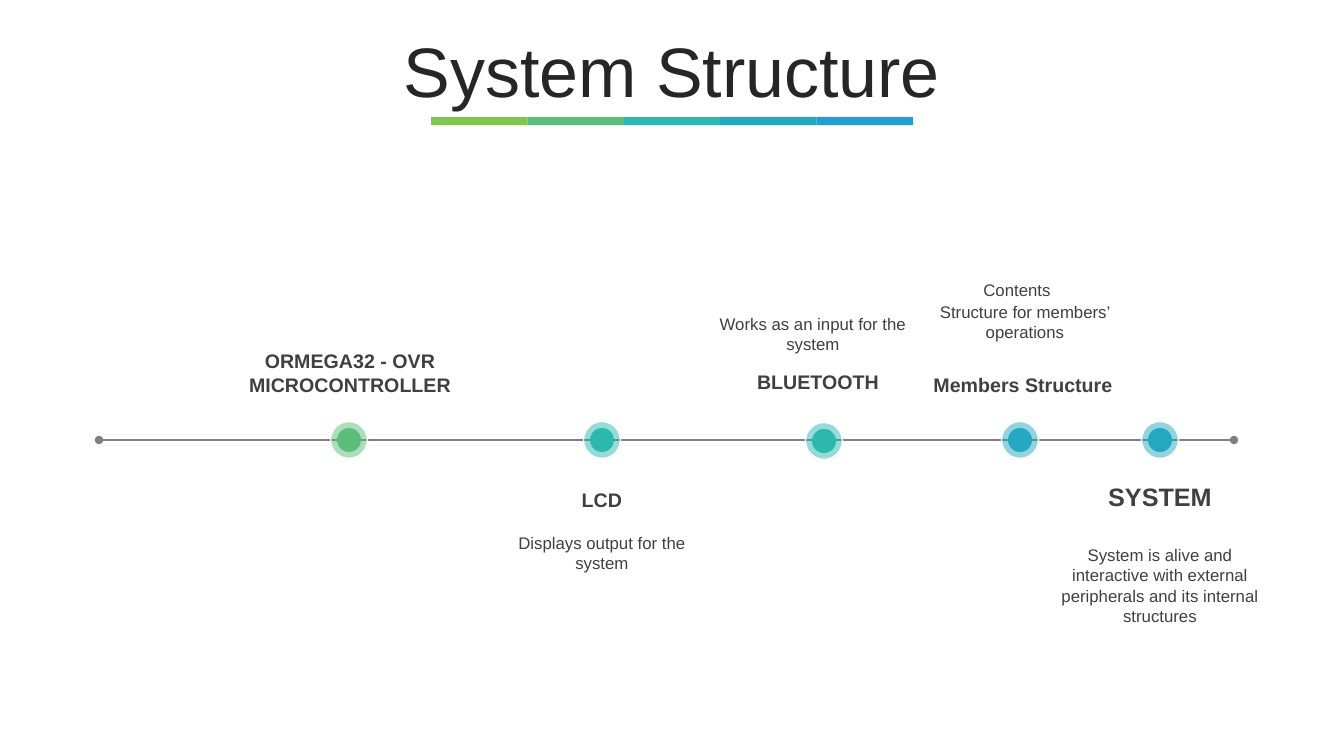
from pptx import Presentation
from pptx.dml.color import RGBColor as Rgb
from pptx.enum.shapes import MSO_CONNECTOR as Connector, MSO_SHAPE as Shape
from pptx.enum.text import MSO_ANCHOR as Anchor, MSO_AUTO_SIZE as AutoSize, PP_ALIGN as Align
from pptx.oxml.ns import qn
from pptx.util import Pt
from lxml.etree import SubElement

EMU_PER_PX = 914400 / 100.8
COLORS = {
    "lime": "82C650", "green": "5CBE7A", "teal": "2CB8AE", "cyan": "24A8C2",
    "blue": "249ED2", "title": "262626", "text": "404040", "axis": "808080",
    "white": "FFFFFF",
}
TITLE = {"size": 50, "bold": False, "color": "title"}
HEADING = {"size": 14, "bold": True, "color": "text"}
LARGE_HEADING = {**HEADING, "size": 18}
BODY = {"size": 12, "bold": False, "color": "text"}

NODES = [
    (349, 0, "green", [("ORMEGA32 - OVR MICROCONTROLLER", HEADING, (1, -96, 226, 82))]),
    (602, 0, "teal", [
        ("LCD", HEADING, (0, 43, 82, 34)),
        ("Displays output for the system", BODY, (0, 88, 222, 50)),
    ]),
    (824, 1, "teal", [
        ("BLUETOOTH", HEADING, (-6, -76, 146, 34)),
        ("Works as an input for the system", BODY, (-11, -132, 222, 50)),
    ]),
    (1020, 0, "cyan", [
        ("Members Structure", HEADING, (3, -72, 216, 34)),
        ("Structure for members’ operations", BODY, (5, -143, 222, 50)),
        ("Contents", BODY, (-3, -165, 222, 30)),
    ]),
    (1160, 0, "cyan", [
        ("SYSTEM", LARGE_HEADING, (0, 36, 126, 40)),
        ("System is alive and interactive with external peripherals and its internal structures",
         BODY, (0, 100, 222, 92)),
    ]),
]


def px(length):
    """Turn pixels into EMU."""
    return round(length * EMU_PER_PX)


def color(name):
    """Look up a named colour."""
    return Rgb.from_string(COLORS[name])


def add_solid(page, kind, box, fill, alpha=None, outline=None):
    """Add a filled preset shape, optionally translucent and outlined."""
    shape = page.shapes.add_shape(kind, *map(px, box))
    shape.shadow.inherit = False
    shape.fill.solid()
    shape.fill.fore_color.rgb = color(fill)
    if alpha:
        tint = shape.fill._xPr.find(qn("a:solidFill"))[0]
        SubElement(tint, qn("a:alpha"), val=str(alpha * 1000))
    if outline:
        shape.line.color.rgb = color(outline)
        shape.line.width = Pt(1)
    else:
        shape.line.fill.background()


def add_label(page, box, text, style, anchor=Anchor.TOP, spacing=None, fit=AutoSize.SHAPE_TO_FIT_TEXT):
    """Add one centred paragraph of wrapped text."""
    frame = page.shapes.add_textbox(*map(px, box)).text_frame
    for name, value in {"word_wrap": True, "auto_size": fit, "vertical_anchor": anchor}.items():
        setattr(frame, name, value)
    para = frame.paragraphs[0]
    para.alignment = Align.CENTER
    para.line_spacing = spacing
    span = para.add_run()
    span.text = text
    for name, value in {"name": "Arial", "size": Pt(style["size"]), "bold": style["bold"]}.items():
        setattr(span.font, name, value)
    span.font.color.rgb = color(style["color"])


def add_header(page, box):
    """Place the title with its five-colour underline."""
    left, top, width, height = box
    bands = ["lime", "green", "teal", "cyan", "blue"]
    total = 482
    start = left + (width - total) / 2
    band = total / len(bands)
    for index, fill in enumerate(bands):
        add_solid(page, Shape.RECTANGLE, (start + index * band, top + height, band, 8), fill)
    add_label(page, box, "System Structure", TITLE, Anchor.MIDDLE, 0.8, AutoSize.NONE)


def add_axis(page, left, right, y):
    """Draw the timeline with round ends."""
    axis = page.shapes.add_connector(Connector.STRAIGHT, px(left), px(y), px(right), px(y))
    axis.line.color.rgb = color("axis")
    axis.line.width = Pt(1.25)
    line = axis.line._get_or_add_ln()
    for end in ("a:headEnd", "a:tailEnd"):
        SubElement(line, qn(end), type="oval")
    SubElement(axis._element.spPr, qn("a:effectLst"))


def add_node(page, x, y, fill, labels):
    """Draw one timeline node and the labels around it."""
    for size, alpha, outline in ((37, 50, "white"), (24, None, None)):
        box = (x - size / 2, y - size / 2, size, size)
        add_solid(page, Shape.OVAL, box, fill, alpha, outline)
    for text, style, (shift, drop, width, height) in labels:
        add_label(page, (x + shift - width / 2, y + drop, width, height), text, style)


def add_timeline(page, box):
    """Place the axis and its nodes in the given box."""
    left, top, width, height = box
    middle = top + height / 2
    add_axis(page, left, left + width, middle)
    for x, drop, fill, labels in NODES:
        add_node(page, x, middle + drop, fill, labels)


def main():
    """Build and save the slide."""
    deck = Presentation()
    deck.slide_width, deck.slide_height = px(1344), px(756)
    page = deck.slides.add_slide(deck.slide_layouts[6])
    add_header(page, (34, 37, 1276, 80))
    add_timeline(page, (99, 240, 1135, 400))
    deck.save("out.pptx")


if __name__ == "__main__":
    main()
